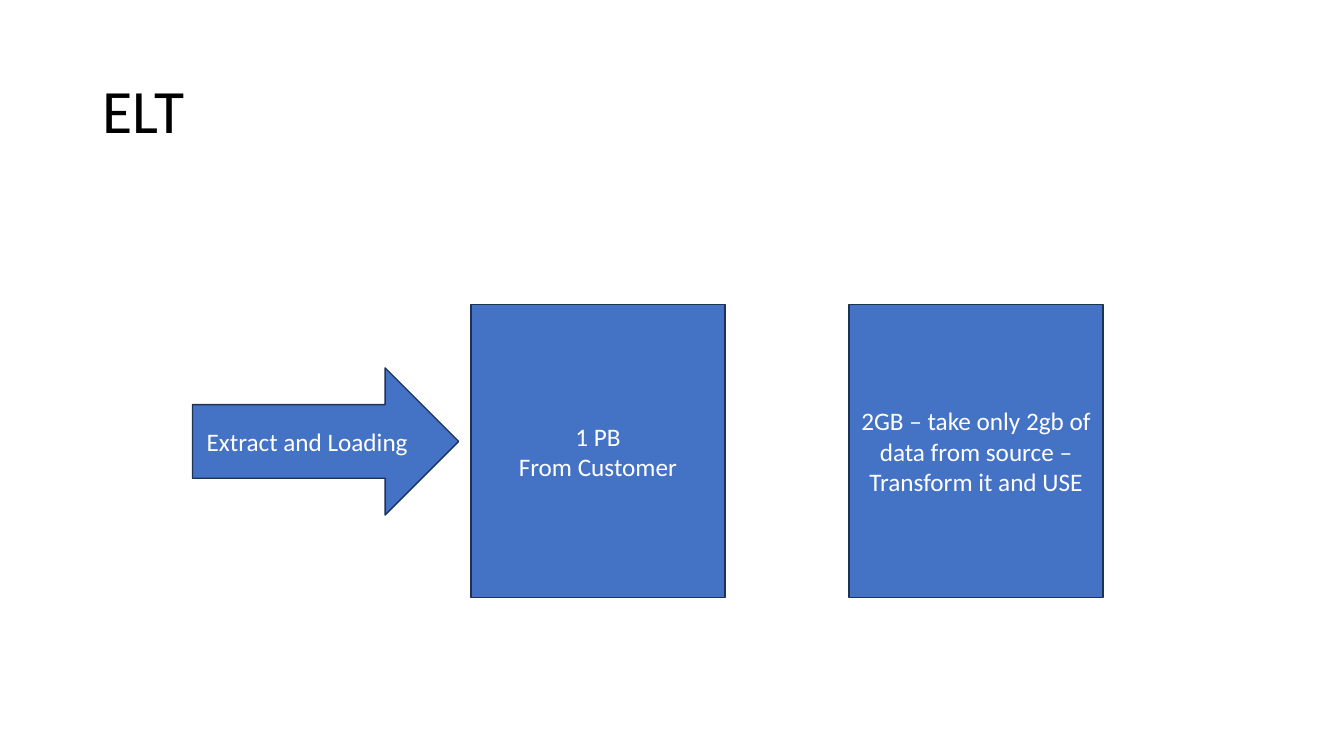
from dataclasses import dataclass

from pptx import Presentation
from pptx.dml.color import RGBColor
from pptx.enum.shapes import MSO_SHAPE
from pptx.enum.text import MSO_ANCHOR, PP_ALIGN
from pptx.util import Inches, Pt


@dataclass(frozen=True)
class Theme:
    font: str = "Calibri"
    title_size: int = 44
    body_size: int = 18
    title_color: str = "000000"
    body_color: str = "FFFFFF"
    fill: str = "4472C4"
    outline: str = "1E3256"
    outline_width: int = 1


THEME = Theme()


def write_text(frame, text, size, color, alignment):
    frame.word_wrap = True
    frame.vertical_anchor = MSO_ANCHOR.MIDDLE
    frame.text = text
    for paragraph in frame.paragraphs:
        paragraph.alignment = alignment
        for run in paragraph.runs:
            run.font.name = THEME.font
            run.font.size = Pt(size)
            run.font.color.rgb = RGBColor.from_string(color)


def add_title(slide, box, text):
    title = slide.shapes.add_textbox(*map(Inches, box))
    write_text(title.text_frame, text, THEME.title_size, THEME.title_color, PP_ALIGN.LEFT)
    title.text_frame.paragraphs[0].line_spacing = 0.9


def add_stage(slide, preset, box, text):
    stage = slide.shapes.add_shape(preset, *map(Inches, box))
    stage.shadow.inherit = False
    stage.fill.solid()
    stage.fill.fore_color.rgb = RGBColor.from_string(THEME.fill)
    stage.line.color.rgb = RGBColor.from_string(THEME.outline)
    stage.line.width = Pt(THEME.outline_width)
    write_text(stage.text_frame, text, THEME.body_size, THEME.body_color, PP_ALIGN.CENTER)


def add_flow(slide, box):
    """Place the loading arrow and the two data stores across the box."""
    left, top, width, height = box
    store_width = 2.52
    arrow_width, arrow_height, arrow_drop = 2.64, 1.46, 0.63
    source_left = left + arrow_width + 0.12
    result_left = left + width - store_width

    add_stage(slide, MSO_SHAPE.RECTANGLE, (source_left, top, store_width, height),
              "1 PB\nFrom Customer")
    add_stage(slide, MSO_SHAPE.RIGHT_ARROW,
              (left, top + arrow_drop, arrow_width, arrow_height),
              "Extract and Loading")
    add_stage(slide, MSO_SHAPE.RECTANGLE, (result_left, top, store_width, height),
              "2GB – take only 2gb of data from source – Transform it and USE")


def main():
    deck = Presentation()
    deck.slide_width = Inches(13.33)
    deck.slide_height = Inches(7.5)
    slide = deck.slides.add_slide(deck.slide_layouts[6])
    add_title(slide, (0.92, 0.4, 11.5, 1.45), "ELT")
    add_flow(slide, (1.91, 3.02, 9.03, 2.91))
    deck.save("out.pptx")


if __name__ == "__main__":
    main()
